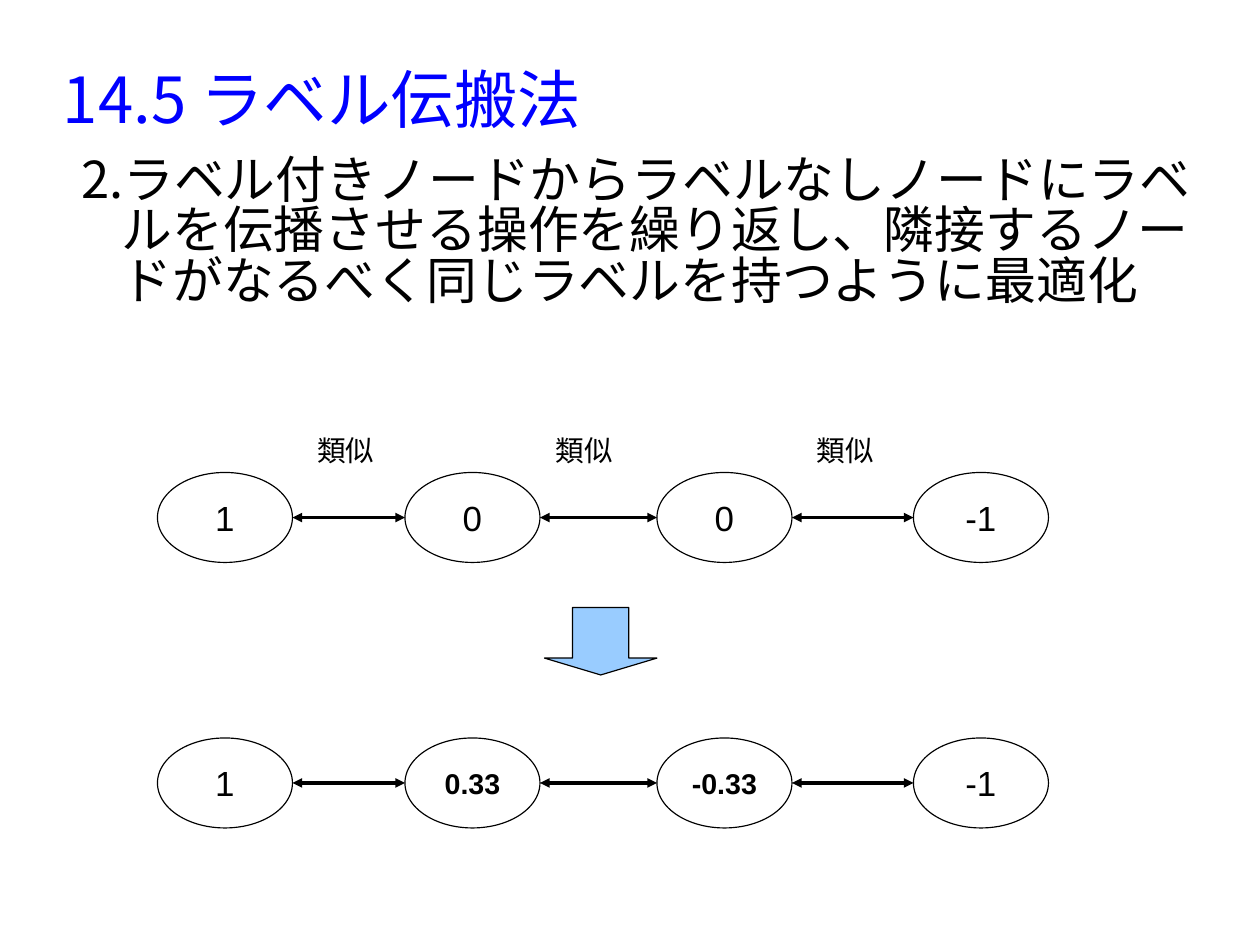
from dataclasses import dataclass
from itertools import pairwise

from lxml.etree import SubElement
from pptx import Presentation
from pptx.dml.color import RGBColor
from pptx.enum.shapes import MSO_CONNECTOR as Connector, MSO_SHAPE as Shape
from pptx.enum.text import MSO_ANCHOR as Anchor, MSO_AUTO_SIZE as AutoSize, PP_ALIGN as Align
from pptx.oxml.ns import qn
from pptx.util import Cm, Pt


@dataclass(frozen=True)
class Theme:
    japanese: str = "Noto Sans CJK JP"
    latin: str = "Arial"
    ink: str = "000000"
    heading: str = "0000FF"
    arrow: str = "99CCFF"
    title_size: int = 40
    body_size: int = 32
    node_size: int = 22
    small_size: int = 18


class Page:
    """Style and current slide, with one method for each kind of element."""

    def __init__(self, deck, theme):
        self.theme = theme
        self.slide = deck.slides.add_slide(deck.slide_layouts[1])
        self.shapes = self.slide.shapes

    def apply(self, target, formats):
        for name, value in formats.items():
            setattr(target, name, value)

    def add_span(self, para, text, size, color=None, font=None, bold=False):
        span = para.add_run()
        span.text = text
        self.apply(span.font, {"name": font or self.theme.latin, "size": Pt(size), "bold": bold})
        span.font.color.rgb = RGBColor.from_string(color or self.theme.ink)
        east_asian = SubElement(span.font._element, qn("a:ea"))
        east_asian.set("typeface", self.theme.japanese)

    def frame(self, box, anchor, wrap=True, margins=(0, 0)):
        side, edge = (Cm(margin) for margin in margins)
        self.apply(box.text_frame, {
            "auto_size": AutoSize.NONE, "word_wrap": wrap, "vertical_anchor": anchor,
            "margin_left": side, "margin_right": side,
            "margin_top": edge, "margin_bottom": edge,
        })
        return box.text_frame.paragraphs[0]

    def place(self, box, left, top, width, height):
        self.apply(box, {"left": Cm(left), "top": Cm(top),
                         "width": Cm(width), "height": Cm(height)})

    def title(self, text, *area):
        box = self.shapes.title
        self.place(box, *area)
        para = self.frame(box, Anchor.MIDDLE)
        para.alignment = Align.LEFT
        self.add_span(para, text, self.theme.title_size, self.theme.heading, self.theme.japanese)

    def numbered_item(self, text, number, *area):
        box = self.slide.placeholders[1]
        self.place(box, *area)
        para = self.frame(box, Anchor.TOP)
        # Hanging number
        props = para._p.get_or_add_pPr()
        props.set("marL", str(Cm(1.2)))
        props.set("indent", str(Cm(-0.9)))
        bullet_color = SubElement(props, qn("a:buClr"))
        SubElement(bullet_color, qn("a:srgbClr")).set("val", self.theme.ink)
        SubElement(props, qn("a:buFont")).set("typeface", self.theme.japanese)
        numbering = SubElement(props, qn("a:buAutoNum"))
        numbering.set("type", "arabicPeriod")
        numbering.set("startAt", str(number))
        self.apply(para, {"alignment": Align.LEFT, "line_spacing": 0.83,
                          "space_before": Pt(0), "space_after": Pt(14.2)})
        self.add_span(para, text, self.theme.body_size, font=self.theme.japanese)

    def outlined(self, kind, left, top, width, height, fill=None):
        shape = self.shapes.add_shape(kind, Cm(left), Cm(top), Cm(width), Cm(height))
        shape.shadow.inherit = False
        if fill:
            shape.fill.solid()
            shape.fill.fore_color.rgb = RGBColor.from_string(fill)
        else:
            shape.fill.background()
        shape.line.color.rgb = RGBColor.from_string(self.theme.ink)
        shape.line.width = Pt(0)
        return shape

    def node(self, text, bold, *area):
        shape = self.outlined(Shape.OVAL, *area)
        para = self.frame(shape, Anchor.MIDDLE, wrap=False, margins=(0.25, 0.13))
        para.alignment = Align.CENTER
        size = self.theme.small_size if bold else self.theme.node_size
        self.add_span(para, text, size, bold=bold)

    def label(self, text, left, top, width, height):
        box = self.shapes.add_textbox(Cm(left), Cm(top), Cm(width), Cm(height))
        para = self.frame(box, Anchor.TOP, wrap=False, margins=(0.25, 0.13))
        self.add_span(para, text, self.theme.small_size)

    def double_arrow(self, start, end, y):
        link = self.shapes.add_connector(Connector.STRAIGHT, Cm(start), Cm(y), Cm(end), Cm(y))
        link.line.color.rgb = RGBColor.from_string(self.theme.ink)
        link.line.width = Pt(0)
        outline = link.line._get_or_add_ln()
        for end_tag in ("a:headEnd", "a:tailEnd"):
            SubElement(outline, qn(end_tag)).set("type", "triangle")
        SubElement(link._element.spPr, qn("a:effectLst"))


NODE_LEFTS = (3.5, 9, 14.6, 20.3)
NODE_WIDTH, NODE_HEIGHT = 3, 2
CHAINS = (
    (10.5, ("1", "0", "0", "-1")),
    (16.4, ("1", "0.33", "-0.33", "-1")),
)
LABEL_LEFTS = (6.8, 12.1, 17.9)


def main():
    deck = Presentation()
    deck.slide_width, deck.slide_height = Cm(28), Cm(21)
    theme = Theme()
    page = Page(deck, theme)

    # Heading and step
    page.title("14.5 ラベル伝搬法", 1.4, 0.84, 25.2, 2.67)
    page.numbered_item(
        "ラベル付きノードからラベルなしノードにラベルを伝播させる操作を繰り返し、"
        "隣接するノードがなるべく同じラベルを持つように最適化",
        2, 1.5, 3.5, 25.2, 13.56)

    # Node chains before and after propagation
    for top, values in CHAINS:
        for left, value in zip(NODE_LEFTS, values):
            page.node(value, "." in value, left, top, NODE_WIDTH, NODE_HEIGHT)
        for left, following in pairwise(NODE_LEFTS):
            page.double_arrow(left + NODE_WIDTH, following, top + NODE_HEIGHT / 2)

    # Similarity labels
    for left in LABEL_LEFTS:
        page.label("類似", left, 9.5, 1.78, 1.2)

    # Propagation arrow
    arrow = page.outlined(Shape.DOWN_ARROW, 12.1, 13.5, 2.5, 1.5, theme.arrow)
    arrow.adjustments[0], arrow.adjustments[1] = 0.5, 0.25

    deck.save("out.pptx")


if __name__ == "__main__":
    main()
